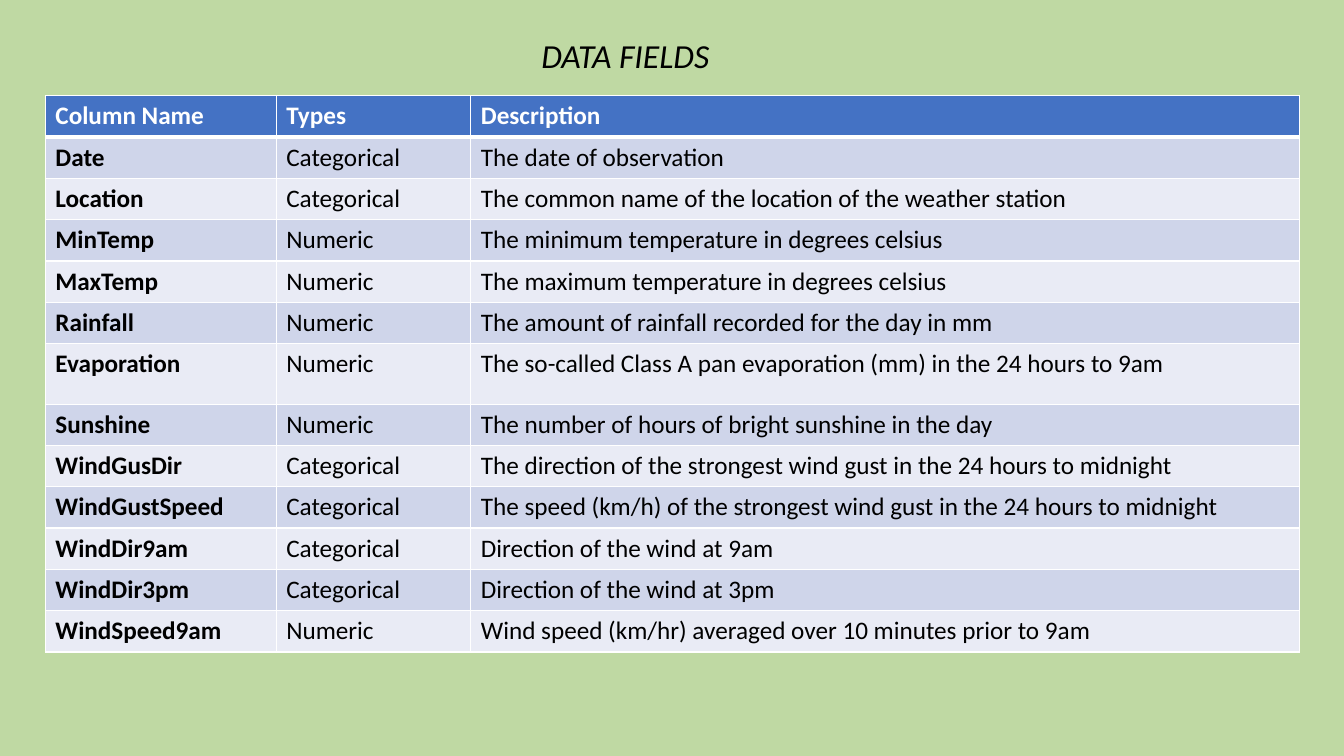
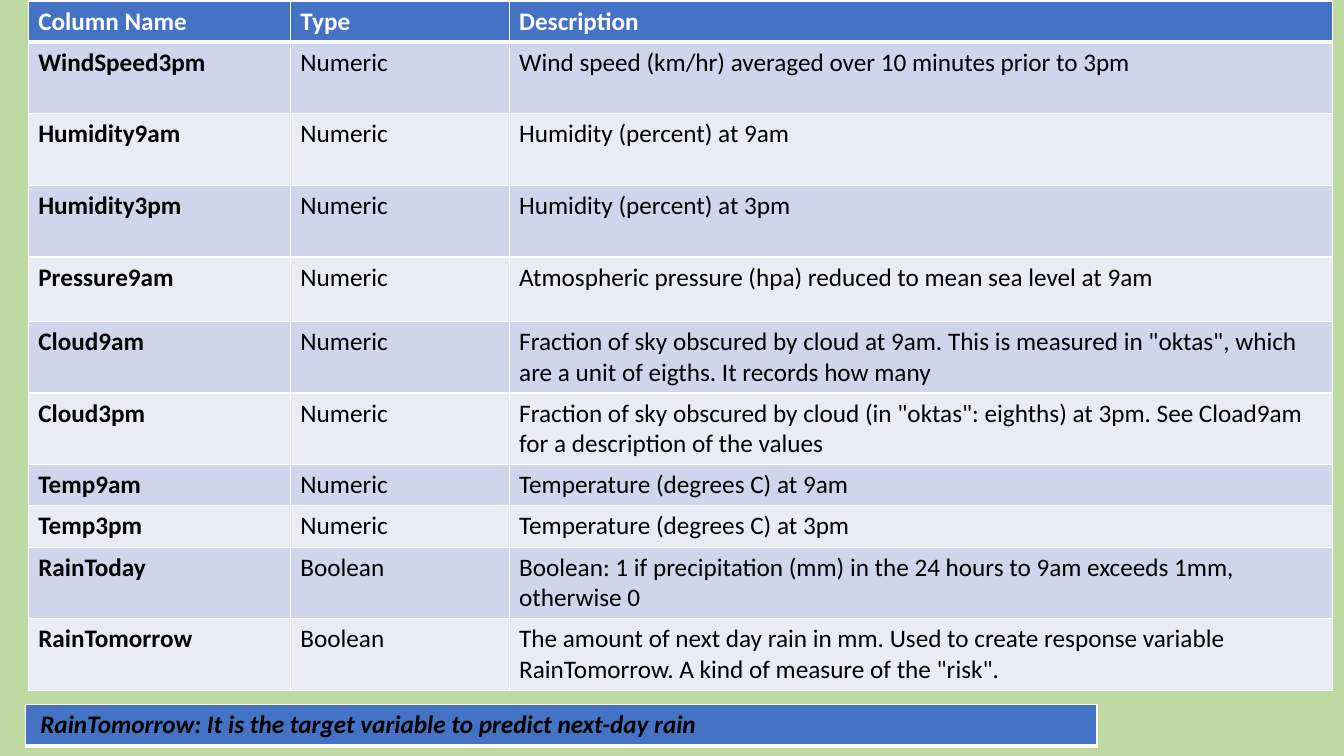
from lxml.etree import SubElement
from pptx import Presentation
from pptx.dml.color import RGBColor
from pptx.oxml.ns import qn
from pptx.util import Inches, Pt

COLORS = {
    "background": "BFD9A3",
    "header": "4472C4",
    "odd_row": "CFD5EA",
    "even_row": "E9EBF5",
    "border": "FFFFFF",
    "header_text": "FFFFFF",
    "text": "000000",
}
FONT = "Calibri"
ROW = 0.41
TWO_LINE_ROW = 0.71
THIN, THICK = 1, 3

FIRST_FIELDS = [
    ("Column Name", "Types", "Description"),
    ("Date", "Categorical", "The date of observation"),
    ("Location", "Categorical", "The common name of the location of the weather station"),
    ("MinTemp", "Numeric", "The minimum temperature in degrees celsius"),
    ("MaxTemp", "Numeric", "The maximum temperature in degrees celsius"),
    ("Rainfall", "Numeric", "The amount of rainfall recorded for the day in mm"),
    ("Evaporation", "Numeric", "The so-called Class A pan evaporation (mm) in the 24 hours to 9am"),
    ("Sunshine", "Numeric", "The number of hours of bright sunshine in the day"),
    ("WindGusDir", "Categorical", "The direction of the strongest wind gust in the 24 hours to midnight"),
    ("WindGustSpeed", "Categorical", "The speed (km/h) of the strongest wind gust in the 24 hours to midnight"),
    ("WindDir9am", "Categorical", "Direction of the wind at 9am"),
    ("WindDir3pm", "Categorical", "Direction of the wind at 3pm"),
    ("WindSpeed9am", "Numeric", "Wind speed (km/hr) averaged over 10 minutes prior to 9am"),
]
FIRST_HEIGHTS = [ROW] * 6 + [0.6] + [ROW] * 6

SECOND_FIELDS = [
    ("Column Name", "Type", "Description"),
    ("WindSpeed3pm", "Numeric", "Wind speed (km/hr) averaged over 10 minutes prior to 3pm"),
    ("Humidity9am", "Numeric", "Humidity (percent) at 9am"),
    ("Humidity3pm", "Numeric", "Humidity (percent) at 3pm"),
    ("Pressure9am", "Numeric", "Atmospheric pressure (hpa) reduced to mean sea level at 9am"),
    ("Cloud9am", "Numeric", 'Fraction of sky obscured by cloud at 9am. This is measured in "oktas", '
     "which are a unit of eigths. It records how many"),
    ("Cloud3pm", "Numeric", 'Fraction of sky obscured by cloud (in "oktas": eighths) at 3pm. '
     "See Cload9am for a description of the values"),
    ("Temp9am", "Numeric", "Temperature (degrees C) at 9am"),
    ("Temp3pm", "Numeric", "Temperature (degrees C) at 3pm"),
    ("RainToday", "Boolean", "Boolean: 1 if precipitation (mm) in the 24 hours to 9am exceeds 1mm, otherwise 0"),
    ("RainTomorrow", "Boolean", "The amount of next day rain in mm. Used to create response variable "
     'RainTomorrow. A kind of measure of the "risk".'),
]
SECOND_HEIGHTS = ([ROW] + [TWO_LINE_ROW] * 3 + [0.64] + [TWO_LINE_ROW] * 2
                  + [ROW] * 2 + [TWO_LINE_ROW] * 2)

TARGET_NOTE = "RainTomorrow: It is the target variable to predict next-day rain"


def write_text(frame, text, size=18, color="text", bold=False, italic=False):
    run = frame.paragraphs[0].add_run()
    run.text = text
    run.font.name = FONT
    run.font.size = Pt(size)
    run.font.bold = bold
    run.font.italic = italic
    run.font.color.rgb = RGBColor.from_string(COLORS[color])


def add_field_table(slide, left, top, widths, heights, rows, italic=False, header_color="header_text"):
    """Add a table with a blue first row, banded body rows and white borders."""
    frame = slide.shapes.add_table(len(rows), len(widths), Inches(left), Inches(top),
                                   Inches(sum(widths)), Inches(sum(heights)))
    table = frame.table
    for column, width in zip(table.columns, widths):
        column.width = Inches(width)
    for index, (row, height, texts) in enumerate(zip(table.rows, heights, rows)):
        row.height = Inches(height)
        is_header = index == 0
        fill = "header" if is_header else "odd_row" if index % 2 else "even_row"
        borders = {
            "a:lnL": THIN,
            "a:lnR": THIN,
            "a:lnT": THICK if index == 1 else THIN,
            "a:lnB": THICK if is_header else THIN,
        }
        for position, (cell, text) in enumerate(zip(row.cells, texts)):
            properties = cell._tc.get_or_add_tcPr()
            for tag, points in borders.items():
                line = SubElement(properties, qn(tag), w=str(Pt(points)))
                solid = SubElement(line, qn("a:solidFill"))
                SubElement(solid, qn("a:srgbClr"), val=COLORS["border"])
            cell.fill.solid()
            cell.fill.fore_color.rgb = RGBColor.from_string(COLORS[fill])
            write_text(cell.text_frame, text, color=header_color if is_header else "text",
                       bold=is_header or position == 0, italic=italic)
    return table


presentation = Presentation()
presentation.slide_width = Inches(13.33)
presentation.slide_height = Inches(7.5)
slides = []
for number in range(2):
    slide = presentation.slides.add_slide(presentation.slide_layouts[6])
    slide.background.fill.solid()
    slide.background.fill.fore_color.rgb = RGBColor.from_string(COLORS["background"])
    slides.append(slide)
first_slide, second_slide = slides

title = first_slide.shapes.add_textbox(Inches(5.27), Inches(0.3), Inches(2.41), Inches(0.5))
title.text_frame.word_wrap = True
write_text(title.text_frame, "DATA FIELDS", size=24, italic=True)
add_field_table(first_slide, 0.45, 0.95, [2.29, 1.93, 8.22], FIRST_HEIGHTS, FIRST_FIELDS)

add_field_table(second_slide, 0.28, 0.01, [2.6, 2.17, 8.17], SECOND_HEIGHTS, SECOND_FIELDS)
target_table = add_field_table(second_slide, 0.25, 6.99, [10.63], [ROW], [(TARGET_NOTE,)],
                               italic=True, header_color="text")
target_table.cell(0, 0).margin_left = Inches(0.15)

presentation.save("out.pptx")
